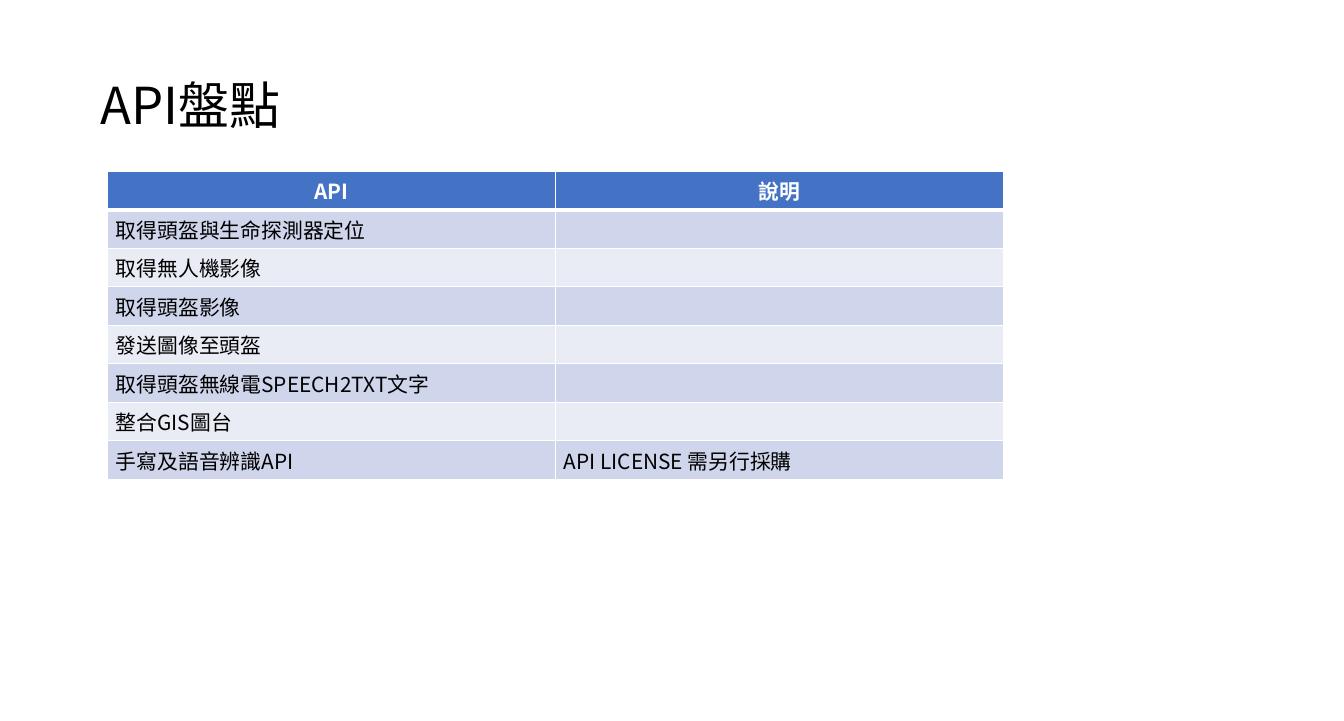
import pptx
import pptx.util
import pptx.dml.color
import pptx.enum.text
import pptx.oxml
import pptx.oxml.ns

Inches, Pt = pptx.util.Inches, pptx.util.Pt
RGB = pptx.dml.color.RGBColor
Align = pptx.enum.text.PP_ALIGN
Anchor = pptx.enum.text.MSO_ANCHOR

# Content
TITLE = "API盤點"
HEAD = ("API", "說明")
ROWS = [
    ("取得頭盔與生命探測器定位", ""),
    ("取得無人機影像", ""),
    ("取得頭盔影像", ""),
    ("發送圖像至頭盔", ""),
    ("取得頭盔無線電SPEECH2TXT文字", ""),
    ("整合GIS圖台", ""),
    ("手寫及語音辨識API", "API LICENSE 需另行採購"),
]

# Style
FONT = "Noto Sans CJK SC"
BLACK = RGB(0x00, 0x00, 0x00)
WHITE = RGB(0xFF, 0xFF, 0xFF)
BLUE = RGB(0x44, 0x72, 0xC4)
BANDS = (RGB(0xCF, 0xD5, 0xEA), RGB(0xE9, 0xEB, 0xF5))
TOP = {"size": Pt(44), "bold": False, "name": FONT}
HEADER = {"size": Pt(18), "bold": True, "name": FONT}
BODY = {"size": Pt(18), "bold": False, "name": FONT}
COL_W, ROW_H = 5.38, 0.41


def write(frame, text, form, color, align):
    para = frame.paragraphs[0]
    para.alignment = align
    if text:
        run = para.add_run()
        run.text = text
        for key, value in form.items():
            setattr(run.font, key, value)
        run.font.color.rgb = color
        east = pptx.oxml.parse_xml(
            f'<a:ea {pptx.oxml.ns.nsdecls("a")} typeface="{FONT}"/>')
        run.font._element.append(east)
    return para


def edge(cell, widths):
    props = cell._tc.get_or_add_tcPr()
    for spot, (side, width) in enumerate(widths.items()):
        line = pptx.oxml.parse_xml(
            f'<a:ln{side} {pptx.oxml.ns.nsdecls("a")} w="{Pt(width)}">'
            f'<a:solidFill><a:srgbClr val="{WHITE}"/></a:solidFill></a:ln{side}>')
        props.insert(spot, line)


def main():
    deck = pptx.Presentation()
    deck.slide_width, deck.slide_height = Inches(16.14), Inches(8.66)
    slide = deck.slides.add_slide(deck.slide_layouts[5])

    # Title
    title = slide.shapes.title
    title.left, title.top = Inches(1.11), Inches(0.46)
    title.width, title.height = Inches(13.92), Inches(1.67)
    frame = title.text_frame
    frame.auto_size = pptx.enum.text.MSO_AUTO_SIZE.NONE
    frame.vertical_anchor = Anchor.MIDDLE
    write(frame, TITLE, TOP, BLACK, Align.LEFT).line_spacing = 0.9

    # Table
    lines = [HEAD] + ROWS
    table = slide.shapes.add_table(
        len(lines), len(HEAD), Inches(1.29), Inches(2.06),
        Inches(COL_W * len(HEAD)), Inches(ROW_H * len(lines))).table
    for col in table.columns:
        col.width = Inches(COL_W)
    for r, texts in enumerate(lines):
        table.rows[r].height = Inches(ROW_H)
        top = r == 0
        for c, text in enumerate(texts):
            cell = table.cell(r, c)
            cell.fill.solid()
            cell.fill.fore_color.rgb = BLUE if top else BANDS[(r - 1) % 2]
            edge(cell, {"L": 1, "R": 1, "T": 3 if r == 1 else 1,
                        "B": 3 if top else 1})
            write(cell.text_frame, text, HEADER if top else BODY,
                  WHITE if top else BLACK,
                  Align.CENTER if top else Align.LEFT)

    deck.save("out.pptx")


if __name__ == "__main__":
    main()
